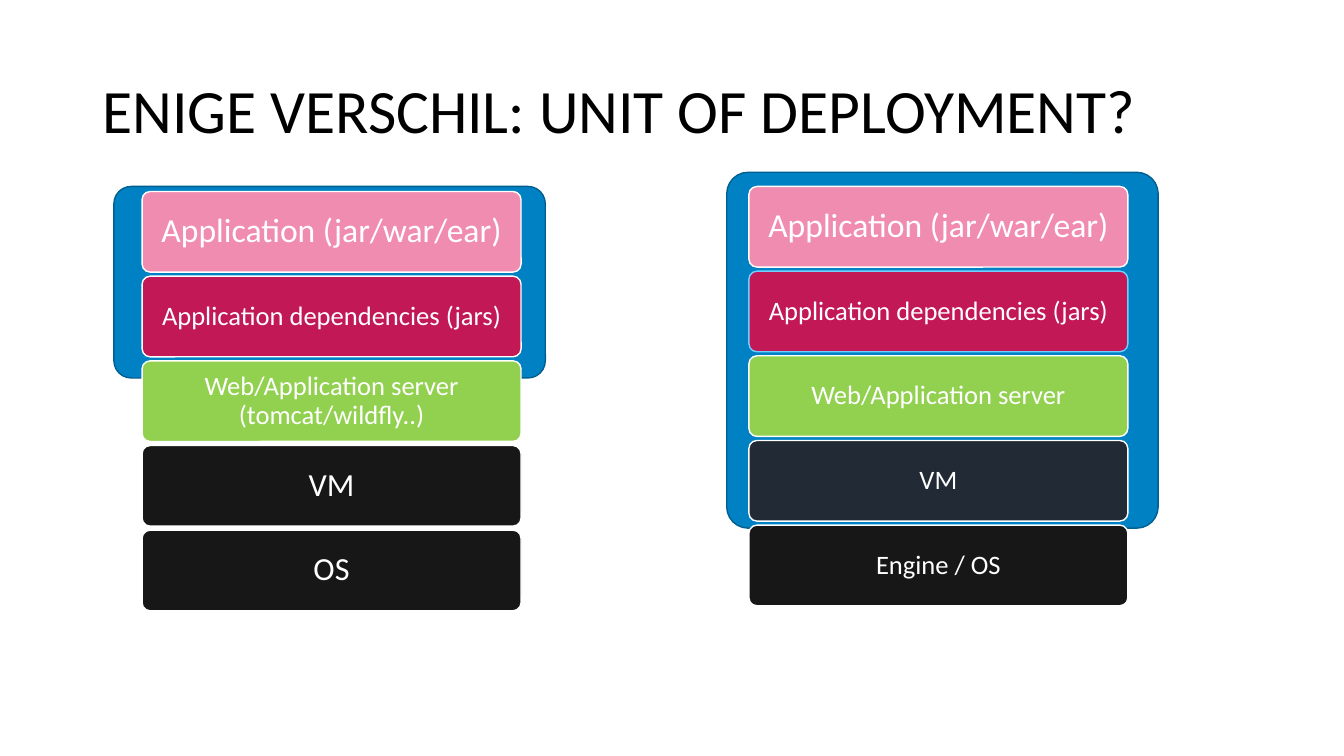
import pptx
import pptx.dml.color
import pptx.enum.shapes
import pptx.enum.text
import pptx.util

Pt = pptx.util.Pt
ALIGN = pptx.enum.text.PP_ALIGN
COLORS = {
    "blue": "0081C3", "navy": "005F90", "pink": "F08CB0", "red": "C21956",
    "green": "92D050", "slate": "222A35", "black": "181717", "sky": "71CFFF",
    "white": "FFFFFF", "ink": "000000",
}
LAYER_W, LAYER_H, LAYER_STEP = 270.72, 57.6, 60.48

CLASSIC = [
    ("Application (jar/war/ear)", "pink", "white", 24),
    ("Application dependencies (jars)", "red", "white", 19),
    ("Web/Application server\v(tomcat/wildfly..)", "green", "white", 19),
    ("VM", "black", "white", 23),
    ("OS", "black", "white", 23),
]
CONTAINER = [
    ("Application (jar/war/ear)", "pink", "white", 24),
    ("Application dependencies (jars)", "red", "sky", 19),
    ("Web/Application server", "green", "white", 19),
    ("VM", "slate", "white", 19),
    ("Engine / OS", "black", "white", 19),
]


def rgb(name):
    """Return the named colour."""
    return pptx.dml.color.RGBColor.from_string(COLORS[name])


def write_text(sp, text, size=19, color="white", align=ALIGN.CENTER, inset=7.2):
    """Write one formatted, vertically centred paragraph in a shape."""
    tf = sp.text_frame
    tf.word_wrap = True
    tf.vertical_anchor = pptx.enum.text.MSO_ANCHOR.MIDDLE
    tf.margin_left = tf.margin_right = Pt(inset)
    tf.margin_top = tf.margin_bottom = Pt(3.6)
    p = tf.paragraphs[0]
    p.text = text
    p.alignment = align
    p.line_spacing = 0.9
    for r in p.runs:
        r.font.name = "Calibri"
        r.font.size = Pt(size)
        r.font.color.rgb = rgb(color)


def add_box(s, x, y, w, h, fill, line, radius):
    """Add a rounded rectangle with a thin outline."""
    kind = pptx.enum.shapes.MSO_SHAPE.ROUNDED_RECTANGLE
    sp = s.shapes.add_shape(kind, Pt(x), Pt(y), Pt(w), Pt(h))
    sp.adjustments[0] = radius
    sp.shadow.inherit = False
    sp.fill.solid()
    sp.fill.fore_color.rgb = rgb(fill)
    sp.line.color.rgb = rgb(line)
    sp.line.width = Pt(1)
    return sp


def add_stack(s, x, y, layers):
    """Add a column of evenly spaced, labelled layers."""
    for i, (text, fill, line, size) in enumerate(layers):
        sp = add_box(s, x, y + i * LAYER_STEP, LAYER_W, LAYER_H, fill, line, 0.1)
        write_text(sp, text, size=size)


def add_title(s, text):
    """Add the slide title."""
    sp = s.shapes.add_textbox(Pt(66), Pt(28.8), Pt(887), Pt(104.4))
    write_text(sp, text, size=44, color="ink", align=ALIGN.LEFT)


def main():
    """Build the slide and save it."""
    prs = pptx.Presentation()
    prs.slide_width, prs.slide_height = Pt(960), Pt(540)
    s = prs.slides.add_slide(prs.slide_layouts[6])
    add_box(s, 519.12, 123.12, 308.16, 254.16, "blue", "navy", 0.06)
    add_box(s, 81.36, 133.2, 308.16, 136.8, "blue", "navy", 0.09)
    add_stack(s, 534.96, 133.2, CONTAINER)
    add_stack(s, 101.52, 136.8, CLASSIC)
    add_title(s, "ENIGE VERSCHIL: UNIT OF DEPLOYMENT?")
    prs.save("out.pptx")


if __name__ == "__main__":
    main()
